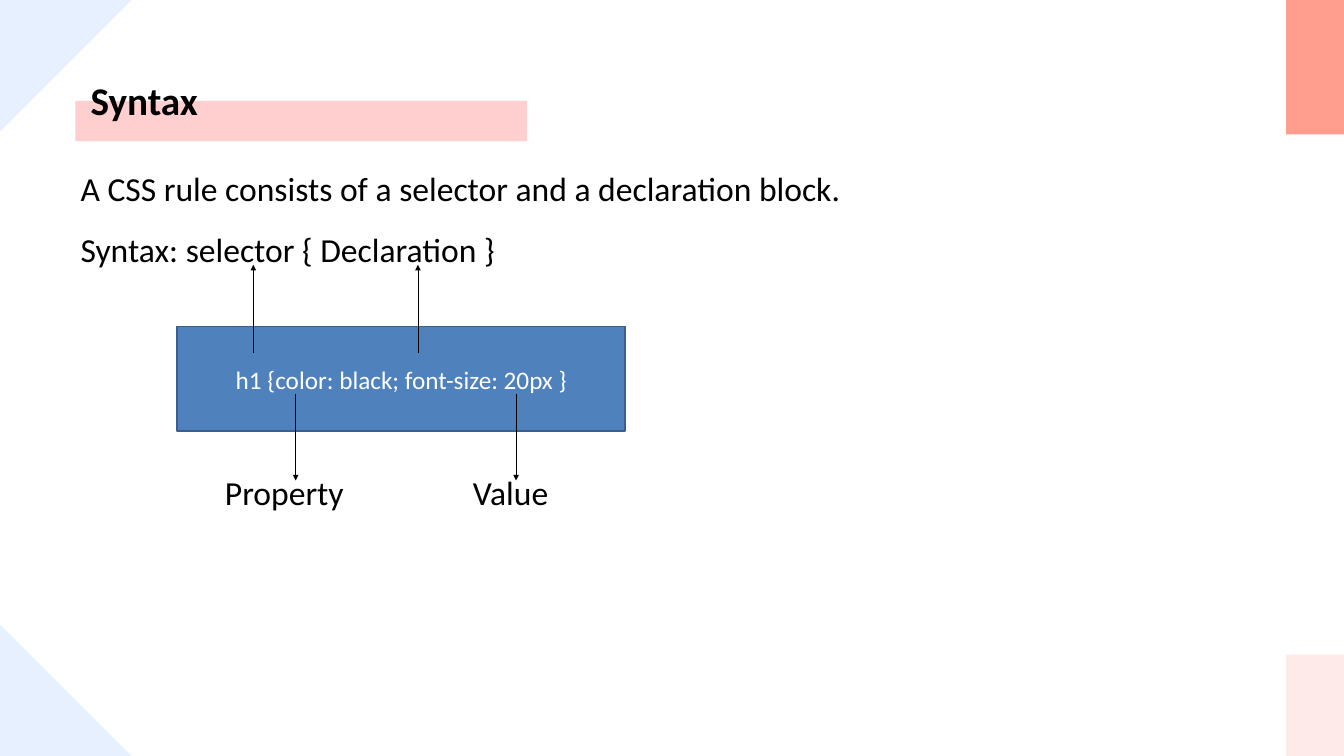
import pptx
import pptx.util
import pptx.dml.color
import pptx.enum.shapes
import pptx.enum.text
import pptx.oxml.ns
from lxml import etree

Inches = pptx.util.Inches
Pt = pptx.util.Pt
Shapes = pptx.enum.shapes.MSO_SHAPE
WIDTH, HEIGHT = 20, 11.25


def color(value):
    return pptx.dml.color.RGBColor.from_string(value)


def add_block(slide, kind, box, fill, rotation=0):
    shape = slide.shapes.add_shape(kind, *map(Inches, box))
    shape.shadow.inherit = False
    shape.fill.solid()
    shape.fill.fore_color.rgb = color(fill)
    shape.line.fill.background()
    shape.rotation = rotation
    return shape


def write_paragraph(paragraph, text, size, text_color="000000", bold=False):
    paragraph.text = text
    paragraph.font.name = "Calibri"
    paragraph.font.size = Pt(size)
    paragraph.font.bold = bold
    paragraph.font.color.rgb = color(text_color)


def add_text(slide, box, lines, size, bold=False, spacing=1):
    frame = slide.shapes.add_textbox(*map(Inches, box)).text_frame
    frame.word_wrap = True
    for index, line in enumerate(lines):
        paragraph = frame.add_paragraph() if index else frame.paragraphs[0]
        write_paragraph(paragraph, line, size, bold=bold)
        paragraph.line_spacing = spacing


def add_arrow(slide, x, start, end):
    connector = slide.shapes.add_connector(
        pptx.enum.shapes.MSO_CONNECTOR.STRAIGHT,
        Inches(x), Inches(start), Inches(x), Inches(end))
    connector.line.color.rgb = color("000000")
    connector.line.width = Pt(0.75)
    qn = pptx.oxml.ns.qn
    etree.SubElement(connector.line._get_or_add_ln(), qn("a:tailEnd"), type="triangle")
    etree.SubElement(connector._element.spPr, qn("a:effectLst"))


def add_decoration(slide, left, top, width, height):
    right, bottom = left + width, top + height
    bar, corner = 0.86, 1.96
    add_block(slide, Shapes.RECTANGLE, (right - bar, top, bar, 2), "FF9D8F")
    add_block(slide, Shapes.RECTANGLE, (right - bar, bottom - 1.51, bar, 1.51), "FFEAEA")
    for y, rotation in ((bottom - corner, 0), (top, 90)):
        add_block(slide, Shapes.RIGHT_TRIANGLE, (left, y, corner, corner), "E6F0FF", rotation)


def add_heading(slide, left, top, width, height):
    add_block(slide, Shapes.RECTANGLE, (left, top + 0.41, 6.72, 0.6), "FFCFCF")
    add_text(slide, (left + 0.13, top, width, height), ["Syntax"], 42, bold=True)


def add_rule_diagram(slide, left, top, width, height):
    rule = add_block(slide, Shapes.RECTANGLE, (left, top, width, height), "4F81BD")
    rule.line.color.rgb = color("3A5F8C")
    rule.line.width = Pt(2)
    rule.text_frame.vertical_anchor = pptx.enum.text.MSO_ANCHOR.MIDDLE
    paragraph = rule.text_frame.paragraphs[0]
    write_paragraph(paragraph, "h1 {color: black; font-size: 20px }", 27, "FFFFFF")
    paragraph.alignment = pptx.enum.text.PP_ALIGN.CENTER

    for offset in (1.13, 3.58):
        add_arrow(slide, left + offset, top + 0.39, top - 0.92)
    for label, offset, label_offset in (("Property", 1.76, 0.61), ("Value", 5.04, 4.3)):
        add_arrow(slide, left + offset, top + 1, top + 2.29)
        add_text(slide, (left + label_offset, top + 2.11, 2.2, 0.71), [label], 36)


def main():
    presentation = pptx.Presentation()
    presentation.slide_width = Inches(WIDTH)
    presentation.slide_height = Inches(HEIGHT)
    slide = presentation.slides.add_slide(presentation.slide_layouts[6])
    add_decoration(slide, 0, 0, WIDTH, HEIGHT)
    add_heading(slide, 1.12, 1.09, 10.77, 0.81)
    add_text(slide, (1.1, 2.15, 13.17, 1.93), [
        "A CSS rule consists of a selector and a declaration block.",
        "Syntax: selector { Declaration }",
    ], 36, spacing=1.5)
    add_rule_diagram(slide, 2.64, 4.86, 6.66, 1.56)
    presentation.save("out.pptx")


if __name__ == "__main__":
    main()
